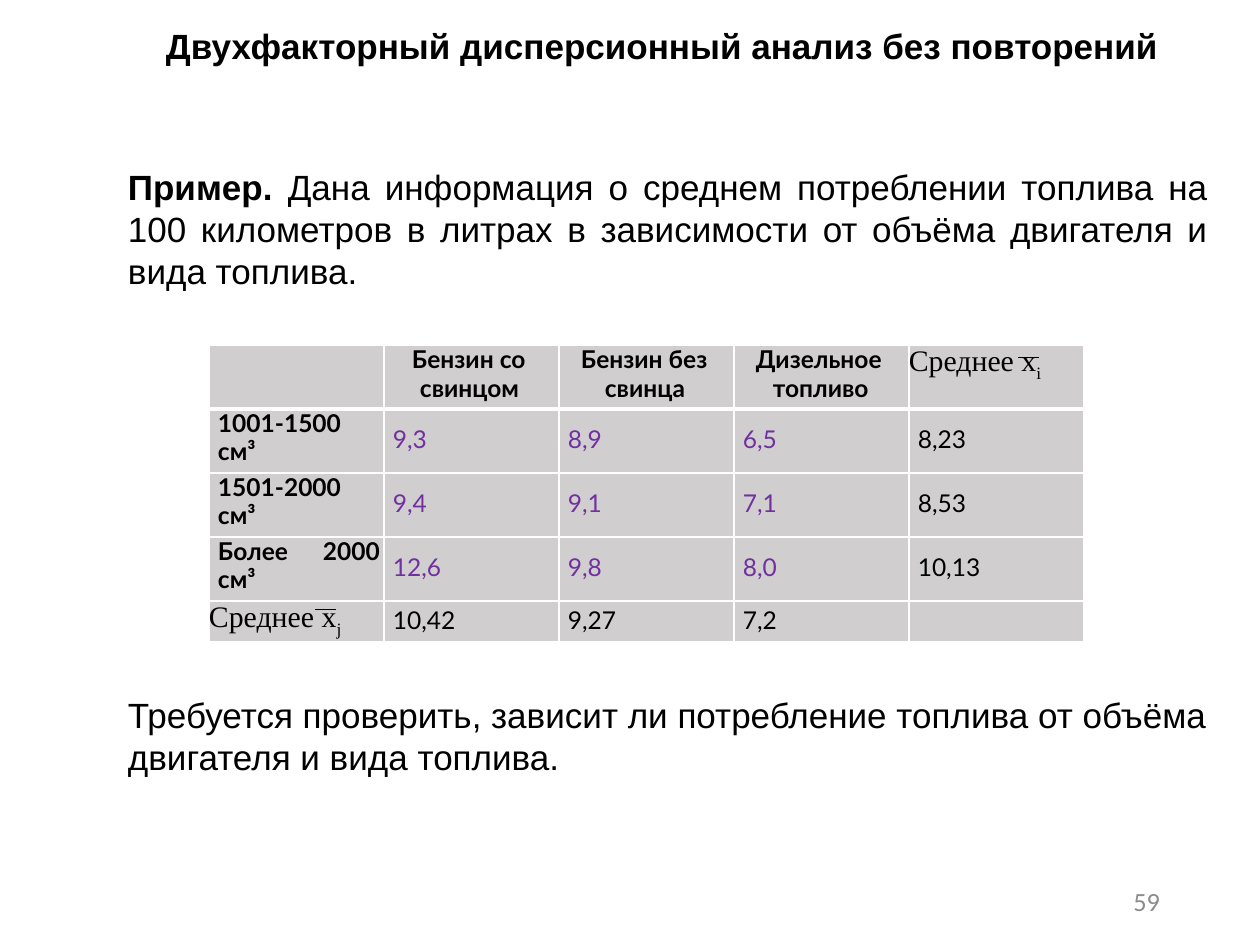
"""Build the slide on two-factor analysis of variance without replication."""
from lxml import etree
from pptx import Presentation
from pptx.dml.color import RGBColor
from pptx.enum.shapes import MSO_CONNECTOR
from pptx.enum.text import MSO_ANCHOR, PP_ALIGN
from pptx.oxml.ns import qn
from pptx.util import Emu, Pt

BLACK = RGBColor(0x00, 0x00, 0x00)
GRAY = RGBColor(0x8C, 0x8C, 0x8C)
PURPLE = RGBColor(0x70, 0x30, 0xA0)
CELL_FILL = RGBColor(0xD0, 0xCE, 0xCE)
LEFT, RIGHT, JUSTIFY = PP_ALIGN.LEFT, PP_ALIGN.RIGHT, PP_ALIGN.JUSTIFY
TOP, MIDDLE = MSO_ANCHOR.TOP, MSO_ANCHOR.MIDDLE
STRAIGHT = MSO_CONNECTOR.STRAIGHT


def px(length):
    return Emu(round(length * 914400 / 126))


def format_spans(para, name, size, color, bold=False):
    for span in para.runs:
        span.font.name = name
        span.font.size = Pt(size)
        span.font.color.rgb = color
        span.font.bold = bold


deck = Presentation()
deck.slide_width, deck.slide_height = px(1260), px(945)
page = deck.slides.add_slide(deck.slide_layouts[6])

TEXTS = [
    ((97, 10, 1101, 113), (69, 15, 0, 0), TOP, JUSTIFY, "Arial", 20, BLACK,
     "Двухфакторный дисперсионный анализ без повторений", ""),
    ((127, 164, 1081, 173), (1, 1, 0, 0), TOP, JUSTIFY, "Arial", 20, BLACK, "Пример. ",
     "Дана информация о среднем потреблении топлива на 100 километров "
     "в литрах в зависимости от объёма двигателя и вида топлива."),
    ((127, 693, 1081, 87), (1, 1, 0, 0), TOP, LEFT, "Arial", 20, BLACK, "",
     "Требуется проверить, зависит ли потребление топлива от объёма "
     "двигателя и вида топлива."),
    ((890, 876, 283, 50), (13, 6, 13, 6), MIDDLE, RIGHT, "Calibri", 15, GRAY, "", "59"),
]
for place, margins, anchor, align, name, size, color, bold_text, plain_text in TEXTS:
    box = page.shapes.add_textbox(*map(px, place))
    frame = box.text_frame
    frame.word_wrap = True
    frame.vertical_anchor = anchor
    (frame.margin_left, frame.margin_top,
     frame.margin_right, frame.margin_bottom) = map(px, margins)
    para = frame.paragraphs[0]
    para.alignment = align
    para.text = bold_text
    if plain_text:
        para.add_run().text = plain_text
    format_spans(para, name, size, color)
    if bold_text:
        para.runs[0].font.bold = True

ROWS = [
    ["", "Бензин со свинцом", "Бензин без свинца", "Дизельное топливо", "Среднее x"],
    ["1001-1500\nсм³", "9,3", "8,9", "6,5", "8,23"],
    ["1501-2000\nсм³", "9,4", "9,1", "7,1", "8,53"],
    ["Более\t2000\nсм³", "12,6", "9,8", "8,0", "10,13"],
    ["Среднее x", "10,42", "9,27", "7,2", ""],
]
ROW_HEIGHTS = [64, 64, 64, 64, 40]
HEADER_INDENTS = {1: (36, -8), 2: (46, -24), 3: (39, -17)}
MEAN_INDEXES = {(0, 4): "i", (4, 0): "j"}

table = page.shapes.add_table(
    5, 5, px(209), px(345), px(875), px(sum(ROW_HEIGHTS))).table
for column in table.columns:
    column.width = px(175)
for row, height in zip(table.rows, ROW_HEIGHTS):
    row.height = px(height)

for i, texts in enumerate(ROWS):
    for j, text in enumerate(texts):
        cell = table.cell(i, j)
        cell.margin_left = cell.margin_top = cell.margin_right = cell.margin_bottom = 0
        properties = cell._tc.get_or_add_tcPr()
        for side in "LRTB":
            heavy = (i, side) in ((0, "B"), (1, "T"))
            border = etree.SubElement(
                properties, qn(f"a:ln{side}"), w=str(Pt(3 if heavy else 1)))
            solid = etree.SubElement(border, qn("a:solidFill"))
            etree.SubElement(solid, qn("a:srgbClr"), val="FFFFFF")
        cell.fill.solid()
        cell.fill.fore_color.rgb = CELL_FILL
        if not text:
            continue

        cell.text_frame.text = text
        para = cell.text_frame.paragraphs[0]
        if (i, j) in MEAN_INDEXES:
            span = para.add_run()
            span.text = MEAN_INDEXES[i, j]
            format_spans(para, "Times New Roman", 17, BLACK)
            span.font._element.set("baseline", "-25000")
        elif i == 0:
            cell.margin_top = px(1)
            para.line_spacing = Pt(16.1)
            indent, hanging = HEADER_INDENTS[j]
            settings = para._p.get_or_add_pPr()
            settings.set("marL", str(px(indent)))
            settings.set("indent", str(px(hanging)))
            format_spans(para, "Lato", 14, BLACK, True)
        elif j == 0:
            cell.margin_left = px(9)
            for para in cell.text_frame.paragraphs:
                para.line_spacing = Pt(16.3)
                if "\t" in para.text:
                    tabs = etree.SubElement(para._p.get_or_add_pPr(), qn("a:tabLst"))
                    etree.SubElement(tabs, qn("a:tab"), pos=str(px(105)), algn="l")
                format_spans(para, "Lato", 14, BLACK, True)
        else:
            cell.margin_left = px(9)
            cell.margin_top = px(4 if i == 4 else 15)
            format_spans(para, "Lato", 14, PURPLE if i < 4 and j < 4 else BLACK)

for left, top in [(315, 609), (1018, 357)]:
    overbar = page.shapes.add_connector(
        STRAIGHT, px(left), px(top), px(left + 21), px(top))
    overbar.line.color.rgb = BLACK
    overbar.line.width = Pt(0.5)
    etree.SubElement(overbar._element.spPr, qn("a:effectLst"))

deck.save("out.pptx")
